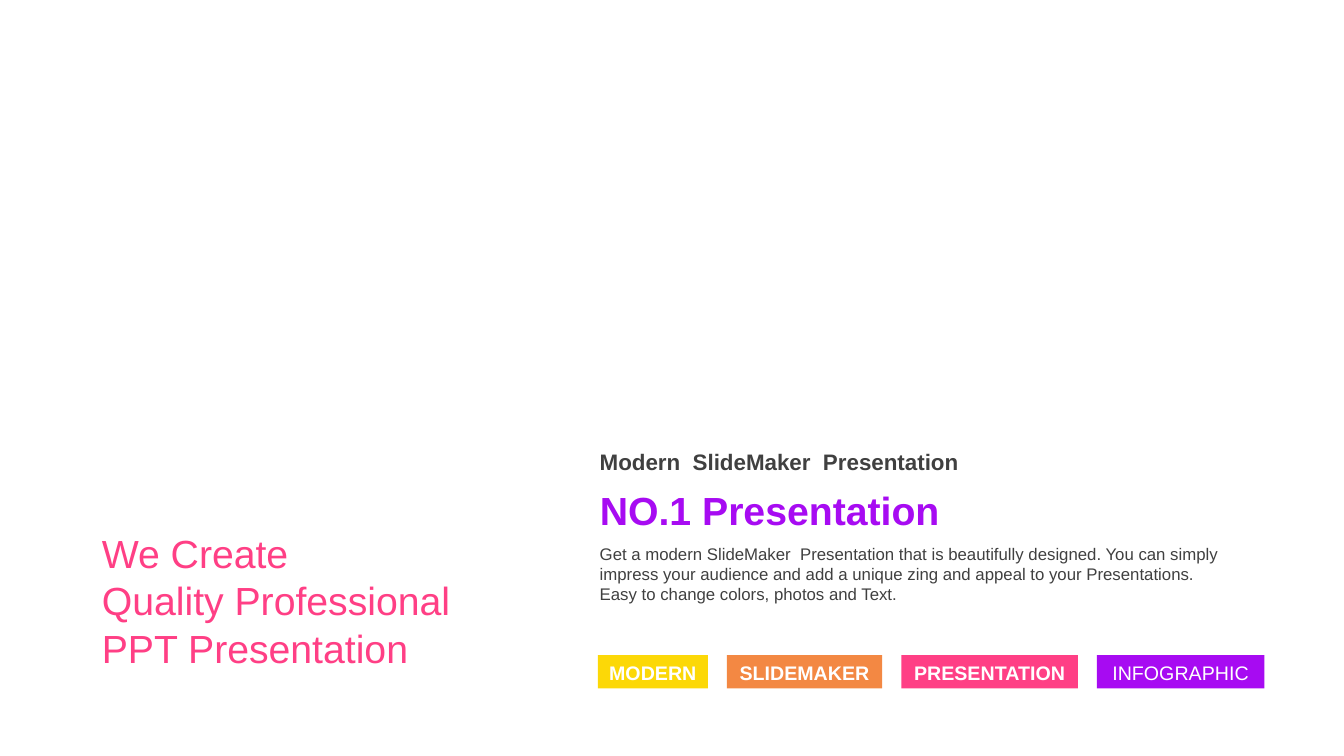
from pptx import Presentation
from pptx.dml.color import RGBColor
from pptx.enum.shapes import MSO_SHAPE
from pptx.enum.text import MSO_ANCHOR, MSO_AUTO_SIZE, PP_ALIGN
from pptx.util import Inches, Pt

YELLOW = RGBColor(0xFC, 0xD8, 0x07)
ORANGE = RGBColor(0xF3, 0x88, 0x43)
PINK = RGBColor(0xFF, 0x3F, 0x85)
PURPLE = RGBColor(0xA7, 0x0B, 0xF2)
GREY = RGBColor(0x40, 0x40, 0x40)
WHITE = RGBColor(0xFF, 0xFF, 0xFF)

COLUMN_LEFT, COLUMN_WIDTH = 5.85, 6.44
BADGE_LEFT, BADGE_TOP, BADGE_HEIGHT, BADGE_GAP = 5.93, 6.5, 0.33, 0.19
BADGES = [
    ("MODERN", 1.09, YELLOW, True),
    ("SLIDEMAKER", 1.54, ORANGE, True),
    ("PRESENTATION", 1.75, PINK, True),
    ("INFOGRAPHIC", 1.66, PURPLE, False),
]
DESCRIPTION = (
    "Get a modern SlideMaker  Presentation that is beautifully designed. "
    "You can simply impress your audience and add a unique zing and appeal "
    "to your Presentations. Easy to change colors, photos and Text."
)


def set_all(target, values):
    for name, value in values.items():
        setattr(target, name, value)


def write_text(shape, lines, size, color, bold=False, frame=None, para_format=None):
    """Fill a shape with one paragraph per line."""
    text_frame = shape.text_frame
    set_all(text_frame, {"word_wrap": True, "auto_size": MSO_AUTO_SIZE.NONE,
                         "vertical_anchor": MSO_ANCHOR.TOP, **(frame or {})})
    for index, line in enumerate(lines):
        para = text_frame.add_paragraph() if index else text_frame.paragraphs[0]
        set_all(para, {"alignment": PP_ALIGN.LEFT, **(para_format or {})})
        span = para.add_run()
        span.text = line
        set_all(span.font, {"name": "Arial", "size": Pt(size), "bold": bold})
        span.font.color.rgb = color


def place_title(page, text, left, top, width, height):
    title = page.shapes.title
    set_all(title, {"left": Inches(left), "top": Inches(top),
                    "width": Inches(width), "height": Inches(height)})
    write_text(title, [text], 28, PURPLE, bold=True)


def add_text(page, place, lines, size, color, **options):
    box = page.shapes.add_textbox(*map(Inches, place))
    write_text(box, lines, size, color, **options)


def add_badge(page, left, label, width, color, bold):
    badge = page.shapes.add_shape(
        MSO_SHAPE.RECTANGLE, Inches(left), Inches(BADGE_TOP),
        Inches(width), Inches(BADGE_HEIGHT))
    badge.shadow.inherit = False
    badge.fill.solid()
    badge.fill.fore_color.rgb = color
    badge.line.fill.background()
    write_text(
        badge, [label], 14, WHITE, bold=bold,
        frame={"vertical_anchor": MSO_ANCHOR.MIDDLE,
               "margin_top": Inches(0.1), "margin_bottom": Inches(0.05)},
        para_format={"alignment": PP_ALIGN.CENTER, "line_spacing": 0.9,
                     "space_before": Pt(10)})


def main():
    deck = Presentation()
    deck.slide_width, deck.slide_height = Inches(13.33), Inches(7.5)
    page = deck.slides.add_slide(deck.slide_layouts[5])

    # Right column: title, line above it and description
    place_title(page, "NO.1 Presentation", COLUMN_LEFT, 4.77, COLUMN_WIDTH, 0.57)
    add_text(page, (COLUMN_LEFT, 4.4, COLUMN_WIDTH, 0.37),
             ["Modern  SlideMaker  Presentation"], 16, GREY, bold=True)
    add_text(page, (COLUMN_LEFT, 5.34, COLUMN_WIDTH, 0.71),
             [DESCRIPTION], 12, GREY)

    # Row of coloured badges
    left = BADGE_LEFT
    for label, width, color, bold in BADGES:
        add_badge(page, left, label, width, color, bold)
        left += width + BADGE_GAP

    # Slogan on the left
    add_text(page, (0.97, 5.25, 3.71, 1.41),
             ["We Create", "Quality Professional", "PPT Presentation"], 28, PINK,
             frame={"vertical_anchor": MSO_ANCHOR.MIDDLE,
                    "margin_left": Inches(0.04), "margin_right": Inches(0.04),
                    "margin_top": 0, "margin_bottom": 0})

    deck.save("out.pptx")


if __name__ == "__main__":
    main()
